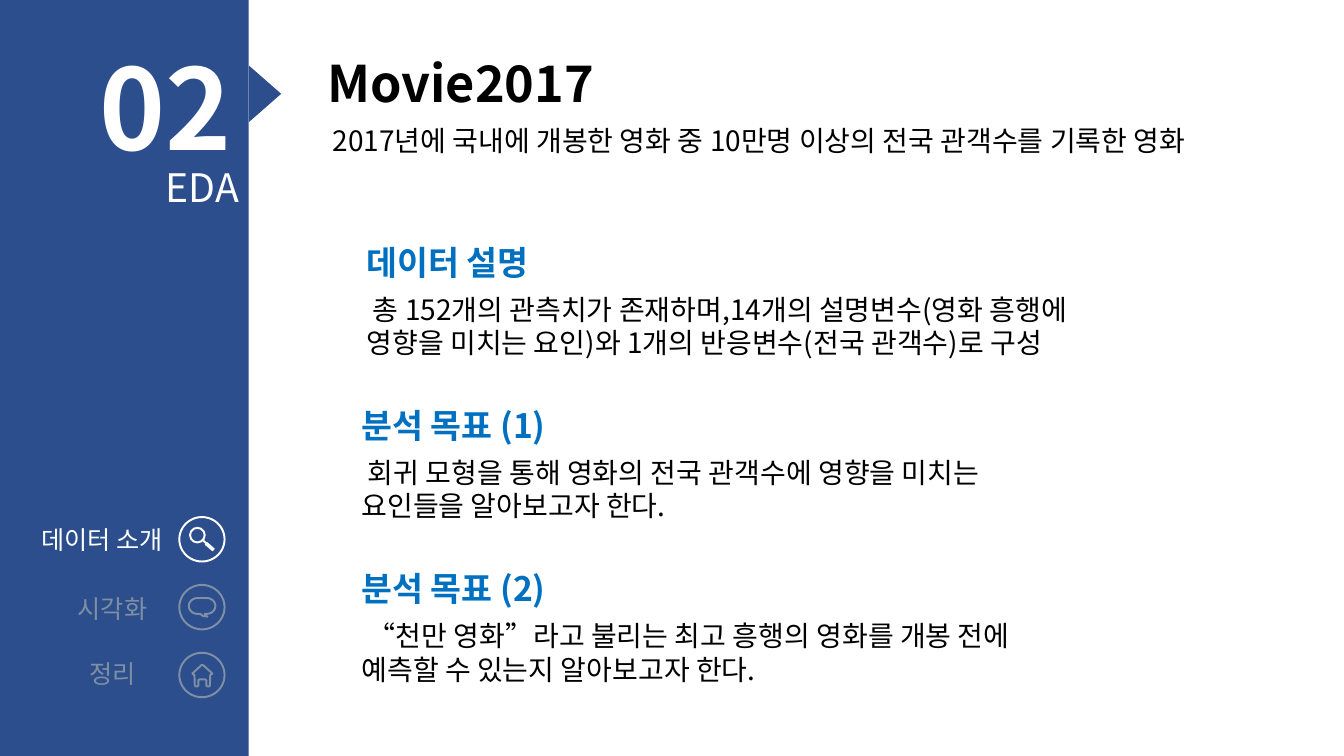
import math
from dataclasses import dataclass

from lxml import etree
from pptx import Presentation
from pptx.dml import color as dml
from pptx.enum import shapes, text
from pptx.oxml import ns
from pptx import util as u

FONT = "Noto Sans CJK KR"
COLORS = {
    "white": "FFFFFF",
    "black": "000000",
    "navy": "2C4E8C",
    "blue": "0070C0",
    "muted": "7F8FA5",
    "muted_text": "7E8FA4",
}
ALIGN = text.PP_ALIGN
SHAPE = shapes.MSO_SHAPE
ICON_LINE = 1.38
SECTION_TOP, SECTION_STEP = 5.97, 4.11
HEADING_HEIGHT = 1.27
ICON_TOP, ICON_STEP = 13.03, 1.71


@dataclass
class Label:
    words: str
    left: float
    top: float
    width: float
    height: float
    size: int
    color: str
    bold: bool = False
    align: ALIGN = ALIGN.LEFT
    indent: float = 0


@dataclass
class Section:
    heading: str
    body: str
    left: float
    width: float


@dataclass
class MenuItem:
    words: str
    left: float
    top: float
    width: float
    text_color: str
    icon_color: str


HEADER = [
    Label("02", 2.11, 0.84, 4.14, 3.68, 80, "white", True, ALIGN.CENTER),
    Label("EDA", 1.78, 3.99, 4.5, 1.45, 28, "white", align=ALIGN.RIGHT),
    Label("Movie2017", 8, 1.19, 24.59, 1.8, 36, "black", True),
    Label("2017년에 국내에 개봉한 영화 중 10만명 이상의 전국 관객수를 기록한 영화",
          8.13, 3, 22.99, 1.12, 20, "black"),
]
SECTIONS = [
    Section("데이터 설명",
            "총 152개의 관측치가 존재하며,14개의 설명변수(영화 흥행에 영향을 미치는 요인)와 "
            "1개의 반응변수(전국 관객수)로 구성", 8.99, 19.35),
    Section("분석 목표 (1)",
            "회귀 모형을 통해 영화의 전국 관객수에 영향을 미치는 요인들을 알아보고자 한다.",
            8.86, 18.36),
    Section("분석 목표 (2)",
            "“천만 영화”라고 불리는 최고 흥행의 영화를 개봉 전에 예측할 수 있는지 알아보고자 한다.",
            8.86, 18.36),
]
MENU = [
    MenuItem("데이터 소개", 0.71, 13.08, 3.73, "white", "white"),
    MenuItem("시각화", 1.22, 14.83, 3.23, "muted_text", "muted"),
    MenuItem("정리", 1.22, 16.46, 3.23, "muted_text", "muted"),
]


def rgb(name: str) -> dml.RGBColor:
    return dml.RGBColor.from_string(COLORS[name])


def paint(shape, fill: str = "", line: str = "") -> None:
    shape.shadow.inherit = False
    if fill:
        shape.fill.solid()
        shape.fill.fore_color.rgb = rgb(fill)
    else:
        shape.fill.background()
    if line:
        shape.line.color.rgb = rgb(line)
        shape.line.width = u.Pt(ICON_LINE)
    else:
        shape.line.fill.background()


def add_label(page, label: Label) -> None:
    box = page.shapes.add_textbox(
        *map(u.Cm, (label.left, label.top, label.width, label.height)))
    frame = box.text_frame
    frame.word_wrap = True
    frame.auto_size = text.MSO_AUTO_SIZE.SHAPE_TO_FIT_TEXT
    para = frame.paragraphs[0]
    para.text = label.words
    para.alignment = label.align
    font = para.font
    font.name = FONT
    font.size = u.Pt(label.size)
    font.bold = label.bold
    font.color.rgb = rgb(label.color)
    properties = para._p.pPr
    if label.indent:
        properties.set("marL", "0")
        properties.set("indent", str(u.Cm(label.indent)))
    defaults = properties.find(ns.qn("a:defRPr"))
    etree.SubElement(defaults, ns.qn("a:ea")).set("typeface", FONT)


def add_preset(page, kind: SHAPE, left: float, top: float, width: float,
               height: float, fill: str = "", line: str = "",
               rotation: float = 0) -> None:
    shape = page.shapes.add_shape(kind, *map(u.Cm, (left, top, width, height)))
    shape.rotation = rotation
    paint(shape, fill, line)


def add_outline(page, points: list[tuple[float, float]], line: str) -> None:
    corners = [(u.Cm(x), u.Cm(y)) for x, y in points]
    builder = page.shapes.build_freeform(*corners[0])
    builder.add_line_segments(corners[1:], close=True)
    paint(builder.convert_to_shape(), line=line)


def add_magnifier(page, color: str) -> None:
    add_preset(page, SHAPE.OVAL, 4.79, 13.3, 0.37, 0.37, line=color)
    handle = page.shapes.add_connector(
        shapes.MSO_CONNECTOR.STRAIGHT, *map(u.Cm, (5.11, 13.61, 5.36, 13.84)))
    handle.line.color.rgb = rgb(color)
    handle.line.width = u.Pt(ICON_LINE)
    etree.SubElement(handle._element.spPr, ns.qn("a:effectLst"))
    add_preset(page, SHAPE.ROUNDED_RECTANGLE, 5.15, 13.73, 0.27, 0.09,
               fill=color, rotation=41)


def add_bubble(page, color: str) -> None:
    points = []
    for center, start in ((4.98, 90), (5.21, 270)):
        for angle in range(start, start + 181, 15):
            turn = math.radians(angle)
            points.append((center + 0.22 * math.cos(turn),
                           15.27 + 0.2 * math.sin(turn)))
    tail = [(5.16, 15.47), (5.19, 15.52), (5.23, 15.54), (5.11, 15.52), (5.05, 15.47)]
    add_outline(page, points + tail, color)


def add_house(page, color: str) -> None:
    axis = 5.1
    left_half = [(5.08, 16.76), (4.85, 16.97), (4.86, 16.99), (4.9, 17),
                 (4.91, 17.27), (4.93, 17.3), (4.98, 17.3), (5, 17.27),
                 (5, 17.14), (5.03, 17.12)]
    right_half = [(2 * axis - x, y) for x, y in reversed(left_half)]
    add_outline(page, left_half + right_half, color)


def main() -> None:
    deck = Presentation()
    deck.slide_width, deck.slide_height = u.Cm(33.87), u.Cm(19.05)
    page = deck.slides.add_slide(deck.slide_layouts[6])

    add_preset(page, SHAPE.RECTANGLE, 0, 0, 6.27, 19.05, fill="navy")
    add_preset(page, SHAPE.ISOSCELES_TRIANGLE, 5.97, 1.96, 1.42, 0.81,
               fill="navy", rotation=90)
    for label in HEADER:
        add_label(page, label)

    for index, section in enumerate(SECTIONS):
        top = SECTION_TOP + index * SECTION_STEP
        add_label(page, Label(section.heading, section.left, top, 9.35,
                              HEADING_HEIGHT, 24, "blue", True))
        add_label(page, Label(section.body, section.left, top + HEADING_HEIGHT,
                              section.width, 1.96, 20, "black", indent=0.16))

    icons = (add_magnifier, add_bubble, add_house)
    for index, (item, add_icon) in enumerate(zip(MENU, icons)):
        add_preset(page, SHAPE.OVAL, 4.52, ICON_TOP + index * ICON_STEP,
                   1.14, 1.12, line=item.icon_color)
        add_icon(page, item.icon_color)
        add_label(page, Label(item.words, item.left, item.top, item.width, 1.02,
                              18, item.text_color, align=ALIGN.CENTER))

    deck.save("out.pptx")


if __name__ == "__main__":
    main()
